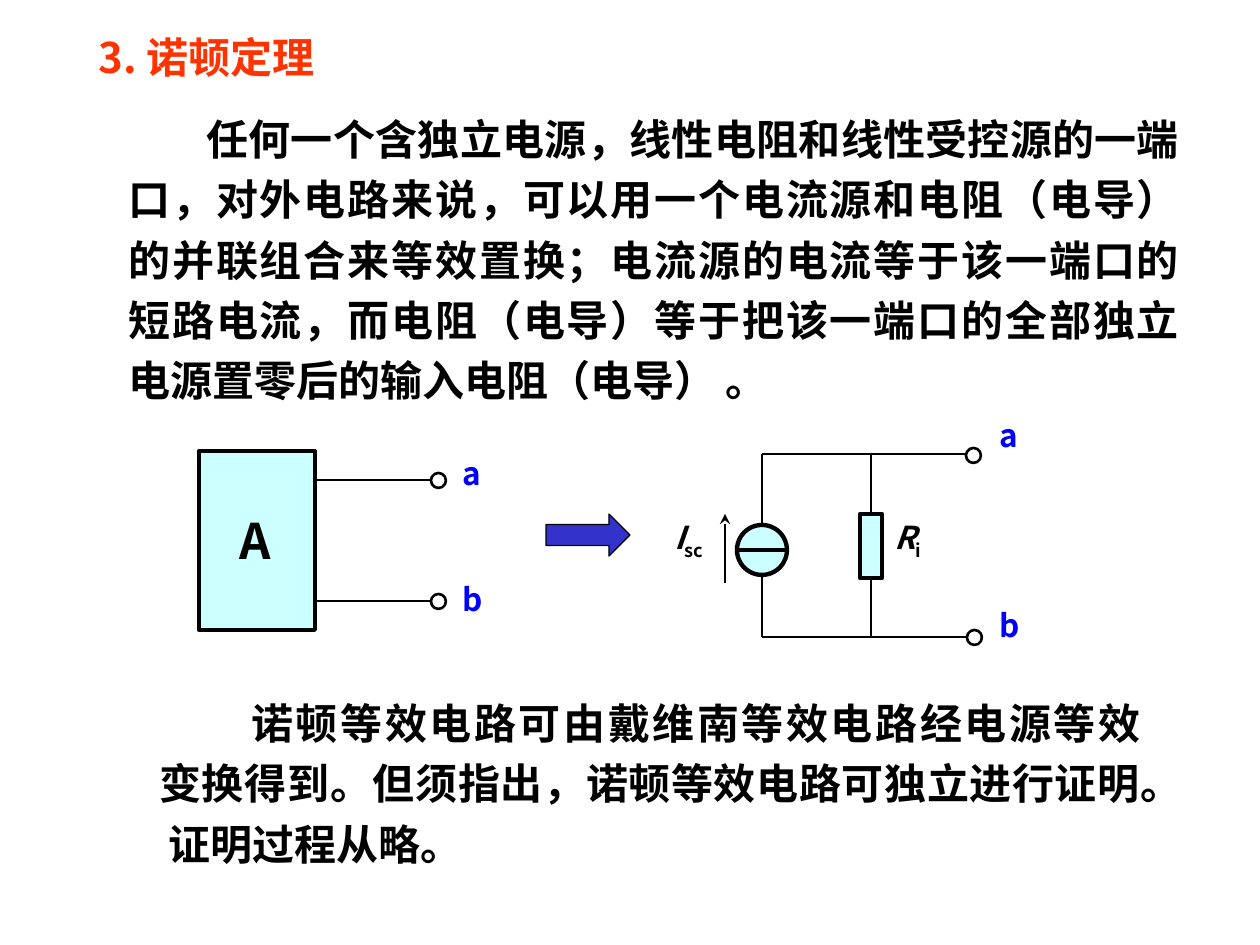
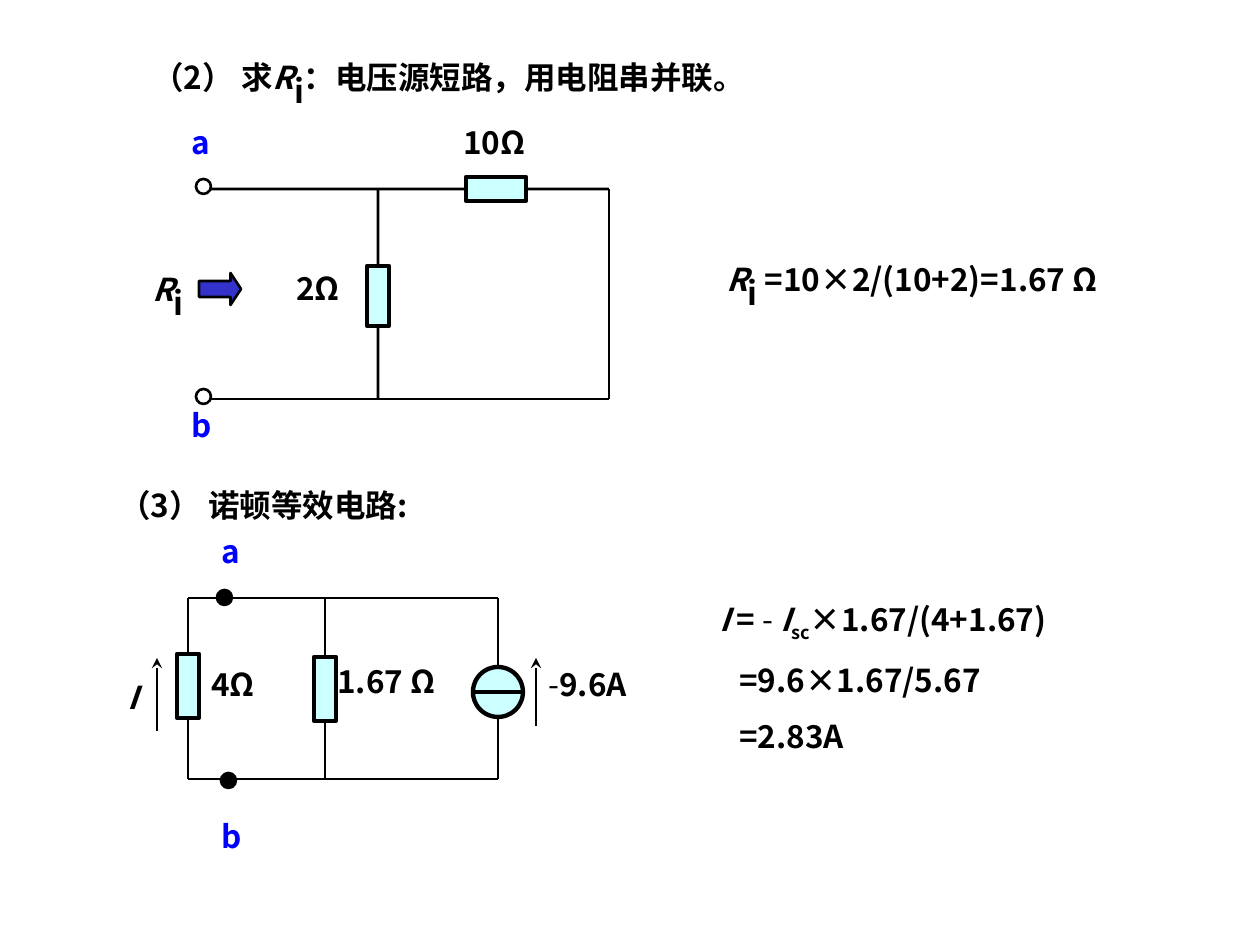
"""Build two slides on Norton's theorem: its statement and a worked equivalent circuit."""
from dataclasses import dataclass

from lxml import etree
from pptx import Presentation
from pptx import util as u
from pptx.dml.color import RGBColor
from pptx.enum import shapes, text
from pptx.oxml.ns import qn


@dataclass(frozen=True)
class Theme:
    black: str = "000000"
    heading: str = "FF3300"
    terminal: str = "0000FF"
    part_fill: str = "CCFFFF"
    arrow_fill: str = "3333CC"
    font: str = "Noto Sans CJK SC"
    body_font: str = "Times New Roman"
    label_size: int = 18
    body_size: int = 24
    box_size: int = 28
    subscript_size: int = 32
    wire: float = 1.5
    outline: float = 2.5


theme = Theme()
SCALE = 914400 / 126


def px(length):
    return u.Emu(round(length * SCALE))


def draw(page, kind, frame, fill=None, width=theme.outline):
    part = page.shapes.add_shape(kind, *map(px, frame))
    part.shadow.inherit = False
    if fill:
        part.fill.solid()
        part.fill.fore_color.rgb = RGBColor.from_string(fill)
    else:
        part.fill.background()
    part.line.color.rgb = RGBColor.from_string(theme.black)
    part.line.width = u.Pt(width)
    return part


deck = Presentation()
deck.slide_width, deck.slide_height = px(1260), px(945)
theorem, example = [deck.slides.add_slide(deck.slide_layouts[6]) for _ in range(2)]
preset = shapes.MSO_SHAPE

block_arrows = [
    (theorem, (546, 514, 84, 42), 0.75, 0.5),
    (example, (199, 273, 42, 32), theme.wire, 0.33),
]
for page, frame, width, head in block_arrows:
    arrow = draw(page, preset.RIGHT_ARROW, frame, theme.arrow_fill, width)
    arrow.adjustments[1] = head

draw(theorem, preset.RECTANGLE, (199, 451, 116, 179), theme.part_fill, 2.25)

wires = [
    (theorem, (315, 480), (431, 480)),
    (theorem, (315, 601), (431, 601)),
    (theorem, (762, 454), (966, 454)),
    (theorem, (762, 637), (966, 637)),
    (example, (210, 189), (466, 189)),
    (example, (526, 189), (609, 189)),
    (example, (609, 189), (609, 399)),
    (example, (210, 399), (609, 399)),
    (example, (188, 598), (498, 598)),
    (example, (188, 779), (498, 779)),
]
joins = []
arrow_wires = [
    (theorem, (725, 583), (725, 514)),
    (example, (157, 731), (157, 658)),
    (example, (536, 726), (536, 658)),
]

resistors = [
    (theorem, 871, 514, 64, 454, 637),
    (example, 378, 266, 60, 189, 399),
    (example, 188, 654, 64, 598, 779),
    (example, 325, 657, 64, 598, 779),
]
for page, x, top, height, upper_rail, lower_rail in resistors:
    resistor = draw(page, preset.RECTANGLE, (x - 11, top, 22, height), theme.part_fill)
    for rail, end, site in ((upper_rail, top, 0), (lower_rail, top + height, 2)):
        joins.append((len(wires), resistor, site))
        wires.append((page, (x, rail), (x, end)))

series_resistor = draw(example, preset.RECTANGLE, (466, 177, 60, 24), theme.part_fill)

sources = [(theorem, 762, 550, 454, 637), (example, 498, 692, 598, 779)]
radius = 25
for page, x, y, upper_rail, lower_rail in sources:
    draw(page, preset.OVAL, (x - radius, y - radius, 2 * radius, 2 * radius), theme.part_fill)
    wires += [(page, (x, upper_rail), (x, y - radius)), (page, (x, y + radius), (x, lower_rail))]

bars = [(page, (x - radius, y), (x + radius, y)) for page, x, y, _, _ in sources]
connectors = []
for page, start, end in wires + bars + arrow_wires:
    line = page.shapes.add_connector(shapes.MSO_CONNECTOR.STRAIGHT, *map(px, start + end))
    line.line.color.rgb = RGBColor.from_string(theme.black)
    line.line.width = u.Pt(theme.outline if (page, start, end) in bars else theme.wire)
    if (page, start, end) in arrow_wires:
        etree.SubElement(line.line._get_or_add_ln(), qn("a:tailEnd"), type="stealth")
    etree.SubElement(line._element.spPr, qn("a:effectLst"))
    connectors.append(line)
for index, resistor, site in joins:
    connectors[index].end_connect(resistor, site)
connectors[4].end_connect(series_resistor, 1)
connectors[5].begin_connect(series_resistor, 3)

terminals = [
    (theorem, 438, 480, None),
    (theorem, 438, 601, None),
    (theorem, 973, 455, None),
    (theorem, 974, 637, None),
    (example, 203, 186, None),
    (example, 203, 396, None),
    (example, 224, 597, theme.black),
    (example, 228, 780, theme.black),
]
for page, x, y, fill in terminals:
    draw(page, preset.OVAL, (x - 7, y - 7, 15, 15), fill, theme.wire)

ri = [("R", "italic"), ("i", "large sub")]
label = (theme.label_size, theme.black)
terminal = (theme.label_size, theme.terminal)
texts = [
    (theorem, (86, 25, 304, 63), (theme.body_size, theme.heading), [("3. 诺顿定理", "bold")]),
    (theorem, (227, 504, 60, 72), (theme.box_size, theme.black), [("A", "bold")]),
    (theorem, (450, 441, 50, 63), terminal, [("a", "bold")]),
    (theorem, (450, 567, 50, 63), terminal, [("b", "bold")]),
    (theorem, (987, 403, 73, 63), terminal, [("a", "bold")]),
    (theorem, (987, 593, 53, 63), terminal, [("b", "bold")]),
    (theorem, (882, 508, 158, 63), label, [("R", "italic"), ("i", "sub")]),
    (theorem, (662, 508, 95, 63), label, [("I", "italic"), ("sc", "sub")]),
    (example, (140, 40, 752, 63), label,
     [("（2） 求", "bold"), *ri, ("：电压源短路，用电阻串并联。", "bold")]),
    (example, (714, 242, 440, 63), label, [*ri, (" =10×2/(10+2)=1.67 Ω", "bold")]),
    (example, (107, 473, 388, 63), label, [("（3） 诺顿等效电路:", "bold")]),
    (example, (140, 252, 70, 63), label, ri),
    (example, (284, 256, 84, 63), label, [("2Ω", "bold")]),
    (example, (451, 110, 105, 63), label, [("10Ω", "bold")]),
    (example, (179, 110, 53, 63), terminal, [("a", "bold")]),
    (example, (179, 393, 50, 63), terminal, [("b", "bold")]),
    (example, (209, 519, 63, 63), terminal, [("a", "bold")]),
    (example, (209, 804, 53, 63), terminal, [("b", "bold")]),
    (example, (199, 652, 84, 63), label, [("4Ω", "bold")]),
    (example, (115, 665, 50, 63), label, [("I", "italic")]),
    (example, (325, 649, 157, 63), label, [("1.67 Ω", "bold")]),
    (example, (536, 652, 147, 63), label, [("-", "plain"), ("9.6A", "bold")]),
]
for page, frame, (size, color), spans in texts:
    box = page.shapes.add_textbox(*map(px, frame))
    box.text_frame.word_wrap = True
    box.text_frame.vertical_anchor = text.MSO_ANCHOR.MIDDLE
    para = box.text_frame.paragraphs[0]
    for words, style in spans:
        span = para.add_run()
        span.text = words
        span.font.bold = style != "plain"
        span.font.italic = style == "italic"
        span.font.size = u.Pt(theme.subscript_size if style == "large sub" else size)
        span.font.color.rgb = RGBColor.from_string(color)
        span.font.name = theme.font
        properties = span.font._element
        etree.SubElement(properties, qn("a:ea"), typeface=theme.font)
        if style.endswith("sub"):
            properties.set("baseline", "-25000")

bodies = [
    (theorem, (116, 97, 1076, 315), 78,
     "任何一个含独立电源，线性电阻和线性受控源的一端 口，对外电路来说，可以用一个电流源和电阻（电导） "
     "的并联组合来等效置换；电流源的电流等于该一端口的 短路电流，而电阻（电导）等于把该一端口的全部独立 "
     "电源置零后的输入电阻（电导） 。"),
    (theorem, (147, 681, 1006, 194), 92,
     "诺顿等效电路可由戴维南等效电路经电源等效 变换得到。但须指出，诺顿等效电路可独立进行证明。 证明过程从略。"),
]
for page, frame, indent, words in bodies:
    box = page.shapes.add_textbox(*map(px, frame))
    box.text_frame.word_wrap = True
    box.text_frame.vertical_anchor = text.MSO_ANCHOR.MIDDLE
    box.text_frame.text = words
    para = box.text_frame.paragraphs[0]
    para.alignment = text.PP_ALIGN.JUSTIFY
    para.line_spacing = u.Pt(34.5)
    para._p.get_or_add_pPr().set("indent", str(px(indent)))
    span = para.runs[0]
    span.font.size = u.Pt(theme.body_size)
    span.font.bold = True
    span.font.color.rgb = RGBColor.from_string(theme.black)
    span.font.name = theme.body_font
    etree.SubElement(span.font._element, qn("a:ea"), typeface=theme.font)

solution = [
    (0, [("I", "italic"), (" = ", "bold"), ("- ", "plain"), ("I", "italic"),
         ("sc", "sub"), ("×1.67/(4+1.67)", "bold")]),
    (20, [("=9.6×1.67/5.67", "bold")]),
    (20, [("=2.83A", "bold")]),
]
box = example.shapes.add_textbox(*map(px, (707, 564, 433, 214)))
box.text_frame.word_wrap = True
box.text_frame.vertical_anchor = text.MSO_ANCHOR.MIDDLE
for row, (margin, spans) in enumerate(solution):
    para = box.text_frame.add_paragraph() if row else box.text_frame.paragraphs[0]
    para.line_spacing = u.Pt(32)
    para._p.get_or_add_pPr().set("marL", str(px(margin)))
    for words, style in spans:
        span = para.add_run()
        span.text = words
        span.font.bold = style != "plain"
        span.font.italic = style == "italic"
        span.font.size = u.Pt(theme.label_size)
        span.font.color.rgb = RGBColor.from_string(theme.black)
        span.font.name = theme.font
        if style == "sub":
            span.font._element.set("baseline", "-25000")

deck.save("out.pptx")
